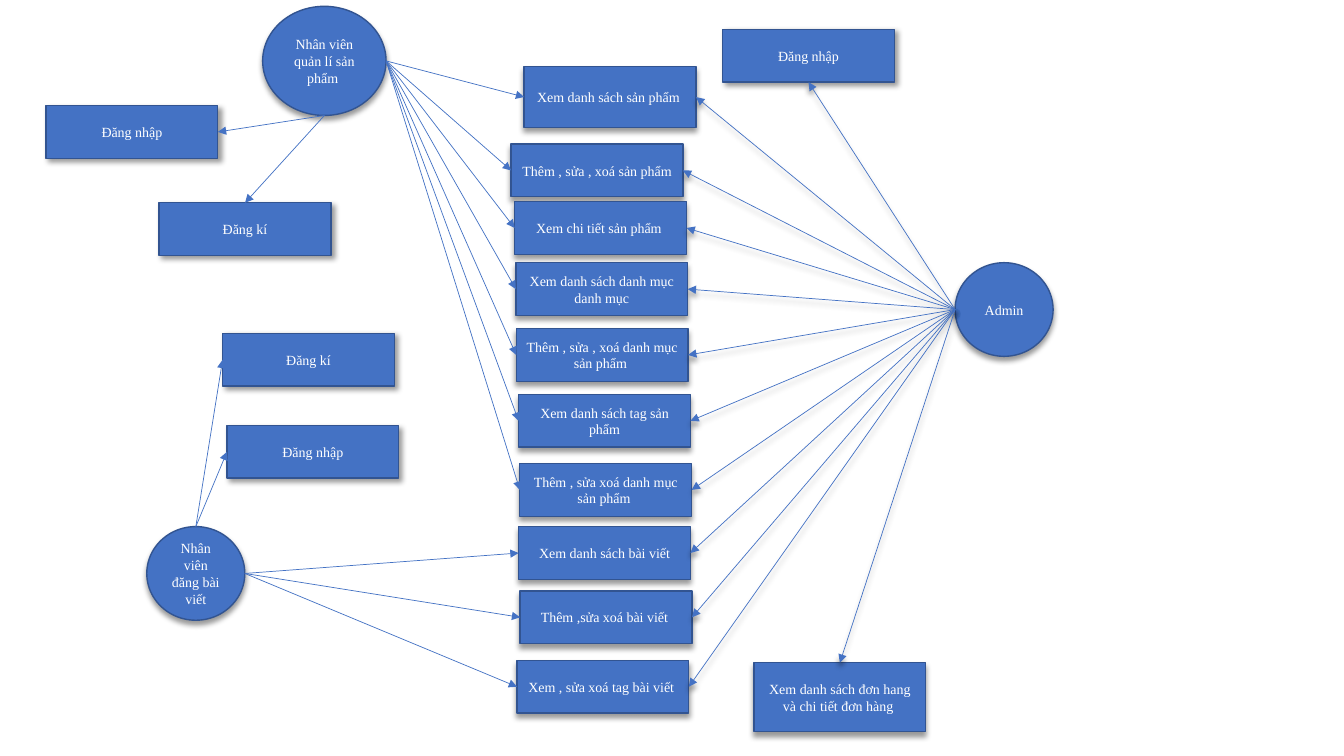
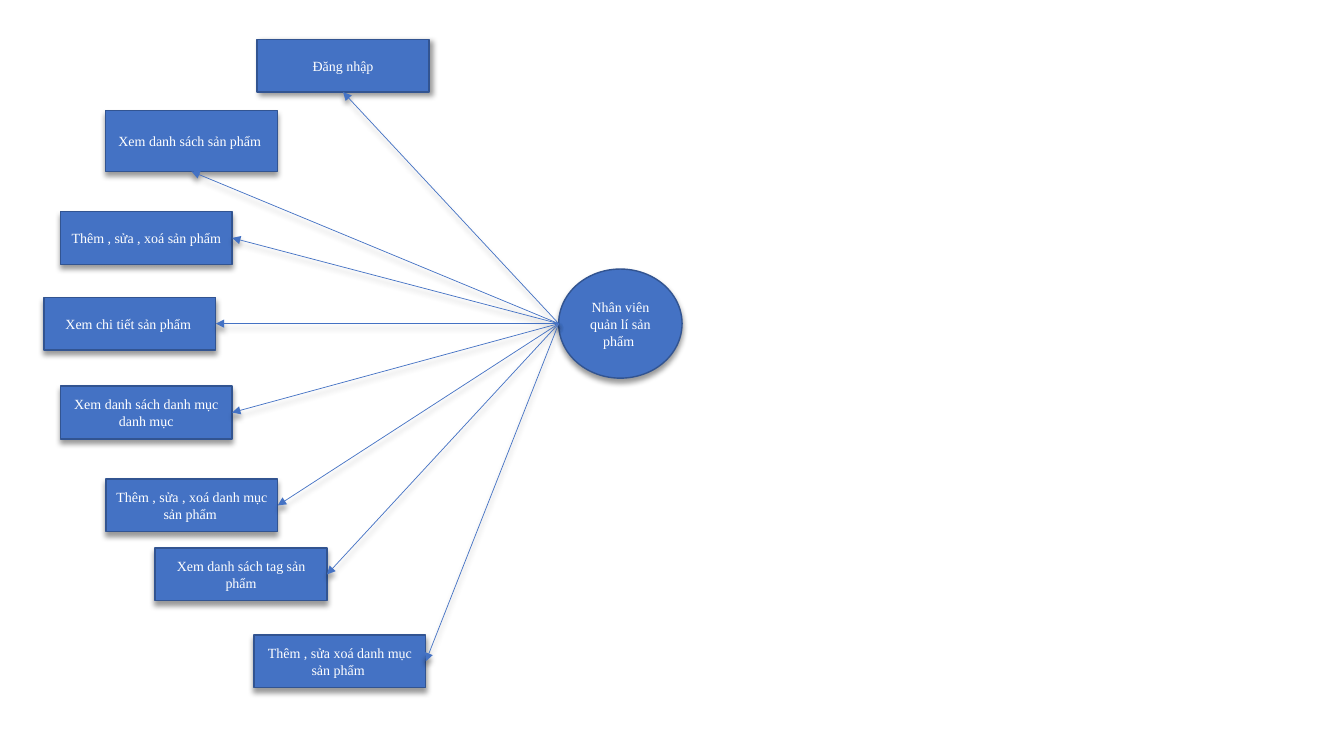
"""Builds two use case diagrams that link staff roles to their tasks."""
from lxml import etree
from pptx import Presentation
from pptx import util as u
from pptx.dml.color import RGBColor
from pptx.enum import shapes, text
from pptx.oxml import ns

BLUE = RGBColor(0x44, 0x72, 0xC4)
NAVY = RGBColor(0x32, 0x54, 0x91)
WHITE = RGBColor(0xFF, 0xFF, 0xFF)
FONT = "Times New Roman"
BOX_WIDTH, BOX_HEIGHT, TALL, TALLEST = 4.33, 1.33, 1.53, 1.74
SMALL, LARGE = (2.47, 2.36), (3.11, 2.75)
TOP, LEFT, BOTTOM, RIGHT = range(4)
DOWN, DIAGONAL = 90, 45

LOGIN, REGISTER = "Đăng nhập", "Đăng kí"
PRODUCT_STAFF = "Nhân viên quản lí sản phẩm "
PRODUCT_TASKS = [
    "Xem danh sách sản phẩm ",
    "Thêm , sửa , xoá sản phẩm ",
    "Xem chi tiết sản phẩm ",
    "Xem danh sách danh mục danh mục",
    "Thêm , sửa , xoá danh mục sản phẩm ",
    "Xem danh sách tag sản phẩm",
    "Thêm , sửa xoá danh mục sản phẩm ",
]
POST_TASKS = ["Xem danh sách bài viết", "Thêm ,sửa xoá bài viết ", "Xem , sửa xoá tag bài viết "]
ORDERS = "Xem danh sách đơn hang và chi tiết đơn hàng "

overview_places = [
    (13.21, 1.68), (12.88, 3.63), (12.97, 5.08), (13, 6.62), (13.01, 8.28),
    (13.07, 9.94), (13.1, 11.68), (13.07, 13.27), (13.11, 14.89), (13.03, 16.64),
]
staff_places = [
    (2.66, 2.79), (1.52, 5.33), (1.11, 7.49), (1.52, 9.73),
    (2.67, 12.07), (3.91, 13.81), (6.4, 16),
]

overview = {
    "actors": [
        ("Admin", 24.07, 6.62, SMALL),
        ("Nhân viên đăng bài viết", 3.7, 13.27, SMALL),
        (PRODUCT_STAFF, 6.62, 0.16, LARGE),
    ],
    "tasks": list(zip(PRODUCT_TASKS + POST_TASKS, overview_places)),
    "extras": [
        (LOGIN, (18.21, 0.74), BOX_HEIGHT, DIAGONAL),
        (ORDERS, (19, 16.7), TALLEST, DOWN),
        (REGISTER, (4.01, 5.11), BOX_HEIGHT, DIAGONAL),
        (LOGIN, (1.16, 2.66), BOX_HEIGHT, DIAGONAL),
        (REGISTER, (5.61, 8.4), BOX_HEIGHT, DIAGONAL),
        (LOGIN, (5.72, 10.72), BOX_HEIGHT, DIAGONAL),
    ],
    "links": [
        (0, LEFT, [10], BOTTOM, True),
        (0, LEFT, range(10), RIGHT, True),
        (0, LEFT, [11], TOP, True),
        (2, RIGHT, range(7), LEFT, False),
        (1, RIGHT, range(7, 10), LEFT, False),
        (2, BOTTOM, [12], TOP, False),
        (2, BOTTOM, [13], RIGHT, False),
        (1, TOP, [14, 15], LEFT, False),
    ],
}
product_staff = {
    "actors": [(PRODUCT_STAFF, 14.08, 6.78, LARGE)],
    "tasks": list(zip(PRODUCT_TASKS, staff_places)),
    "extras": [(LOGIN, (6.48, 0.99), BOX_HEIGHT, DIAGONAL)],
    "links": [
        (0, LEFT, [7, 0], BOTTOM, True),
        (0, LEFT, range(1, 7), RIGHT, True),
    ],
}


def set_shadow(properties, angle):
    """Gives an element its own effect list, empty when angle is None."""
    effects = etree.SubElement(properties, ns.qn("a:effectLst"))
    if angle is not None:
        shadow = etree.SubElement(
            effects, ns.qn("a:outerShdw"), blurRad=str(u.Pt(4)), dist=str(u.Pt(3)),
            dir=str(angle * 60000), algn="t", rotWithShape="0")
        color = etree.SubElement(shadow, ns.qn("a:srgbClr"), val="000000")
        etree.SubElement(color, ns.qn("a:alpha"), val="40000")


def add_node(slide, kind, label, left, top, width, height, angle):
    """Adds one labelled box or circle."""
    shape = slide.shapes.add_shape(kind, u.Cm(left), u.Cm(top), u.Cm(width), u.Cm(height))
    shape.fill.solid()
    shape.fill.fore_color.rgb = BLUE
    shape.line.color.rgb = NAVY
    shape.line.width = u.Pt(1)
    set_shadow(shape._element.spPr, angle)
    shape.text_frame.word_wrap = True
    shape.text_frame.vertical_anchor = text.MSO_ANCHOR.MIDDLE
    paragraph = shape.text_frame.paragraphs[0]
    paragraph.text = label
    paragraph.alignment = text.PP_ALIGN.CENTER
    paragraph.font.name = FONT
    paragraph.font.size = u.Pt(10)
    paragraph.font.color.rgb = WHITE
    return shape


presentation = Presentation()
presentation.slide_width = u.Cm(33.87)
presentation.slide_height = u.Cm(19.05)

for diagram in (overview, product_staff):
    slide = presentation.slides.add_slide(presentation.slide_layouts[6])
    actors = [
        add_node(slide, shapes.MSO_SHAPE.OVAL, label, left, top, *size, DOWN)
        for label, left, top, size in diagram["actors"]
    ]
    tasks = [
        (label, place, TALL if label == PRODUCT_TASKS[0] else BOX_HEIGHT, DOWN)
        for label, place in diagram["tasks"]
    ]
    boxes = [
        add_node(slide, shapes.MSO_SHAPE.RECTANGLE, label, *place, BOX_WIDTH, height, angle)
        for label, place, height, angle in tasks + diagram["extras"]
    ]
    for actor_index, actor_side, targets, box_side, shadowed in diagram["links"]:
        actor = actors[actor_index]
        across, down = {TOP: (1, 0), LEFT: (0, 1), BOTTOM: (1, 2), RIGHT: (2, 1)}[actor_side]
        start_x = actor.left + actor.width * across // 2
        start_y = actor.top + actor.height * down // 2
        for target in targets:
            connector = slide.shapes.add_connector(
                shapes.MSO_CONNECTOR.STRAIGHT, start_x, start_y, start_x, start_y)
            connector.end_connect(boxes[target], box_side)
            connector.line.color.rgb = BLUE
            connector.line.width = u.Pt(0.5)
            etree.SubElement(connector.line._get_or_add_ln(), ns.qn("a:tailEnd"), type="triangle")
            set_shadow(connector._element.spPr, DOWN if shadowed else None)

presentation.save("out.pptx")
